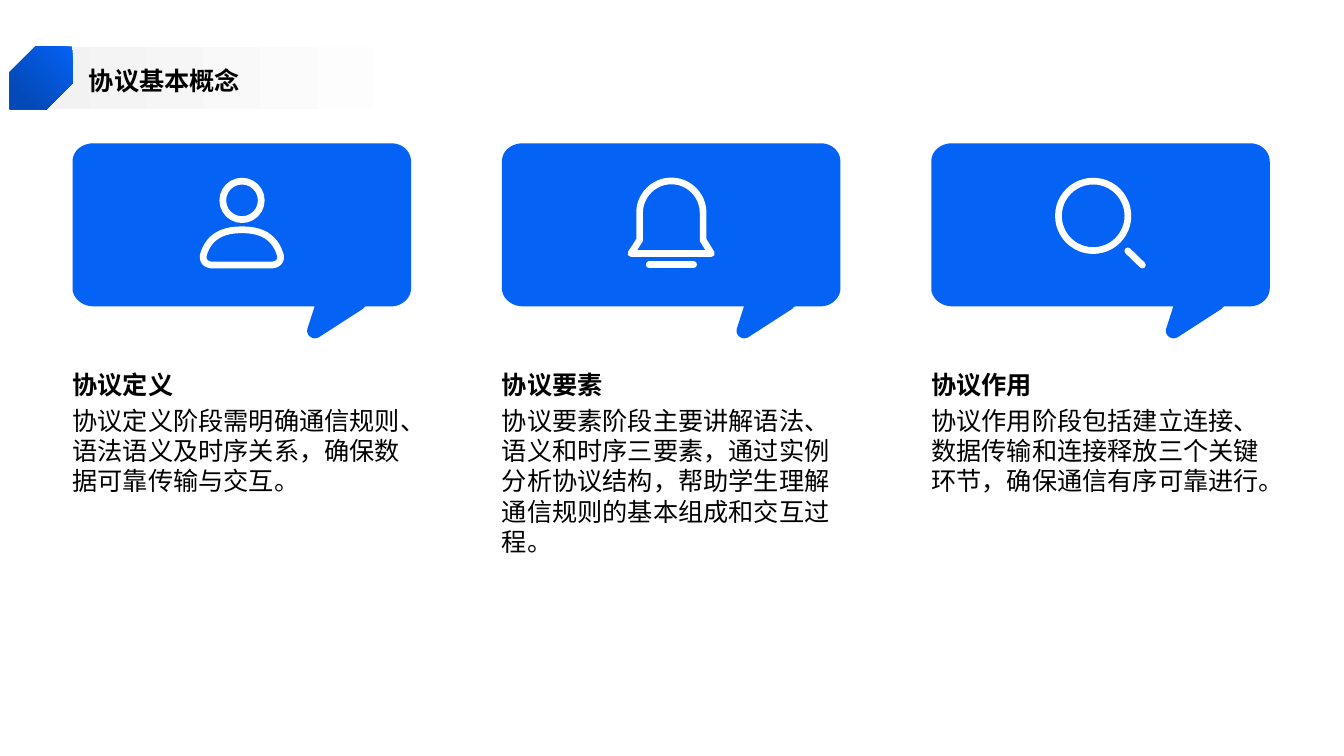
from dataclasses import dataclass

from lxml.etree import SubElement
from pptx import Presentation
from pptx.dml.color import RGBColor
from pptx.enum.shapes import MSO_CONNECTOR as Connector, MSO_SHAPE as Shape
from pptx.enum.text import MSO_ANCHOR as Anchor
from pptx.oxml.ns import qn
from pptx.util import Cm, Pt


@dataclass(frozen=True)
class Theme:
    blue: str = "0462F5"
    deep_blue: str = "034AB8"
    pale: str = "F2F2F2"
    white: str = "FFFFFF"
    ink: str = "000000"
    font: str = "Noto Sans CJK SC"
    text_size: float = 18
    icon_stroke: float = 4.8


# Outlines in cm from a card's corner: 2 numbers draw a line, 6 a Bézier curve
BUBBLE = [
    (8.03, 0), (0.53, 0), (0.23, 0, 0, 0.2, 0, 0.46),
    (0, 3.66), (0, 3.89, 0.23, 4.11, 0.53, 4.11),
    (6.1, 4.11), (5.92, 4.67), (5.87, 4.85, 6.07, 4.98, 6.22, 4.88),
    (7.32, 4.17), (7.34, 4.14, 7.37, 4.11, 7.4, 4.11),
    (8.03, 4.11), (8.31, 4.11, 8.53, 3.89, 8.53, 3.66),
    (8.53, 0.46), (8.53, 0.2, 8.31, 0, 8.03, 0),
]
SHOULDERS = [
    (4.27, 2.18), (4.9, 2.18, 5.13, 2.48, 5.23, 2.8),
    (5.28, 2.95, 5.18, 3.07, 5, 3.07), (3.53, 3.07),
    (3.35, 3.07, 3.26, 2.95, 3.3, 2.8), (3.4, 2.48, 3.63, 2.18, 4.27, 2.18),
]
BELL = [
    (4.27, 0.95), (4.71, 0.95, 5.07, 1.31, 5.07, 1.75), (5.07, 2.44),
    (5.28, 2.78), (3.25, 2.78), (3.47, 2.44), (3.47, 1.75),
    (3.47, 1.31, 3.83, 0.95, 4.27, 0.95),
]

# Each icon is a list of (method name, geometry)
PERSON_ICON = [("ring", (4.27, 1.44, 0.97)), ("outline", SHOULDERS)]
BELL_ICON = [("outline", BELL), ("stroke", (3.71, 3.06, 4.83, 3.06))]
SEARCH_ICON = [("ring", (4.08, 1.83, 1.75)), ("stroke", (4.95, 2.71, 5.32, 3.07))]

CARDS = [
    (PERSON_ICON, "协议定义",
     "协议定义阶段需明确通信规则、语法语义及时序关系，确保数据可靠传输与交互。"),
    (BELL_ICON, "协议要素",
     "协议要素阶段主要讲解语法、语义和时序三要素，通过实例分析协议结构，"
     "帮助学生理解通信规则的基本组成和交互过程。"),
    (SEARCH_ICON, "协议作用",
     "协议作用阶段包括建立连接、数据传输和连接释放三个关键环节，确保通信有序可靠进行。"),
]
CARD_LEFT, CARD_TOP, CARD_WIDTH, CARD_PITCH = 1.83, 3.61, 8.53, 10.82
CURVE_STEPS = 12


def flatten(segments):
    """Turn lines and Bézier curves into a list of points."""
    points = [segments[0]]
    for segment in segments[1:]:
        if len(segment) == 2:
            points.append(segment)
            continue
        controls = [points[-1], segment[:2], segment[2:4], segment[4:]]
        for step in range(1, CURVE_STEPS + 1):
            t = step / CURVE_STEPS
            weights = ((1 - t) ** 3, 3 * t * (1 - t) ** 2, 3 * t * t * (1 - t), t ** 3)
            points.append(tuple(
                sum(weight * point[axis] for weight, point in zip(weights, controls))
                for axis in (0, 1)))
    return points


class SlideBuilder:
    def __init__(self, slide, theme):
        self.slide, self.theme = slide, theme

    def pen(self, shape):
        """White rounded icon stroke."""
        shape.line.color.rgb = RGBColor.from_string(self.theme.white)
        shape.line.width = Pt(self.theme.icon_stroke)
        line = shape.element.spPr.find(qn("a:ln"))
        line.set("cap", "rnd")
        SubElement(line, qn("a:round"))

    def outline(self, segments, origin, fill=None):
        points = [(Cm(origin[0] + x), Cm(origin[1] + y)) for x, y in flatten(segments)]
        builder = self.slide.shapes.build_freeform(*points[0])
        builder.add_line_segments(points[1:], close=True)
        shape = builder.convert_to_shape()
        shape.shadow.inherit = False
        if fill:
            shape.fill.solid()
            shape.fill.fore_color.rgb = RGBColor.from_string(fill)
            shape.line.fill.background()
        else:
            shape.fill.background()
            self.pen(shape)

    def ring(self, geometry, origin):
        x, y, diameter = geometry
        shape = self.slide.shapes.add_shape(
            Shape.OVAL, Cm(origin[0] + x - diameter / 2), Cm(origin[1] + y - diameter / 2),
            Cm(diameter), Cm(diameter))
        shape.shadow.inherit = False
        shape.fill.background()
        self.pen(shape)

    def stroke(self, geometry, origin):
        x1, y1, x2, y2 = geometry
        connector = self.slide.shapes.add_connector(
            Connector.STRAIGHT, Cm(origin[0] + x1), Cm(origin[1] + y1),
            Cm(origin[0] + x2), Cm(origin[1] + y2))
        self.pen(connector)
        SubElement(connector.element.spPr, qn("a:effectLst"))

    def gradient(self, kind, box, colors, angle, adjustments=()):
        shape = self.slide.shapes.add_shape(kind, *map(Cm, box))
        shape.shadow.inherit = False
        shape.line.fill.background()
        for index, value in enumerate(adjustments):
            shape.adjustments[index] = value
        shape.fill.gradient()
        shape.fill.gradient_angle = angle
        for stop, position, color in zip(shape.fill.gradient_stops, (0, 0.8), colors):
            stop.position = position
            stop.color.rgb = RGBColor.from_string(color)

    def text(self, words, box, anchor=Anchor.TOP, bold=False):
        frame = self.slide.shapes.add_textbox(*map(Cm, box)).text_frame
        frame_format = {"word_wrap": True, "vertical_anchor": anchor, "margin_left": 0,
                        "margin_right": 0, "margin_top": 0, "margin_bottom": 0}
        for name, value in frame_format.items():
            setattr(frame, name, value)
        run = frame.paragraphs[0].add_run()
        run.text = words
        run_format = {"size": Pt(self.theme.text_size), "bold": bold, "name": self.theme.font}
        for name, value in run_format.items():
            setattr(run.font, name, value)
        run.font.color.rgb = RGBColor.from_string(self.theme.ink)
        SubElement(run.font._element, qn("a:ea"), typeface=self.theme.font)

    def card(self, left, icon, heading, body):
        origin = (left, CARD_TOP)
        self.outline(BUBBLE, origin, fill=self.theme.blue)
        for method, geometry in icon:
            getattr(self, method)(geometry, origin)
        self.text(body, (left, 10.21, CARD_WIDTH, 6.99))
        self.text(heading, (left, 8.86, CARD_WIDTH, 1.22), Anchor.BOTTOM, bold=True)


def main():
    presentation = Presentation()
    presentation.slide_width, presentation.slide_height = Cm(33.87), Cm(19.05)
    theme = Theme()
    builder = SlideBuilder(
        presentation.slides.add_slide(presentation.slide_layouts[6]), theme)

    # Three cards
    for index, card in enumerate(CARDS):
        builder.card(CARD_LEFT + index * CARD_PITCH, *card)

    # Title band
    builder.gradient(Shape.RECTANGLE, (0.84, 1.18, 12.5, 1.57), (theme.pale, theme.white), 0)
    builder.text("协议基本概念", (2.24, 1.37, 30.18, 1.3), Anchor.MIDDLE, bold=True)
    builder.gradient(Shape.SNIP_2_DIAG_RECTANGLE, (0.25, 1.17, 1.58, 1.58),
                     (theme.blue, theme.deep_blue), 225, (0.41, 0))

    presentation.save("out.pptx")


if __name__ == "__main__":
    main()
